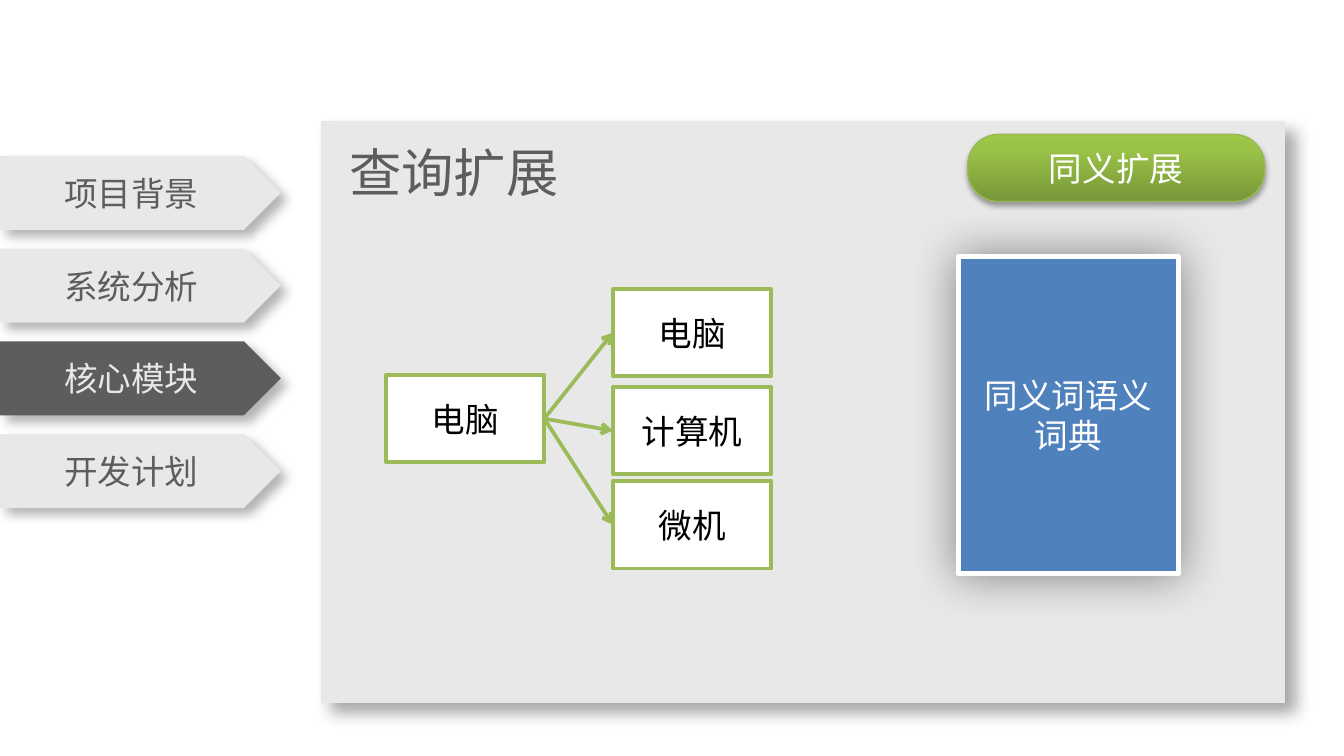
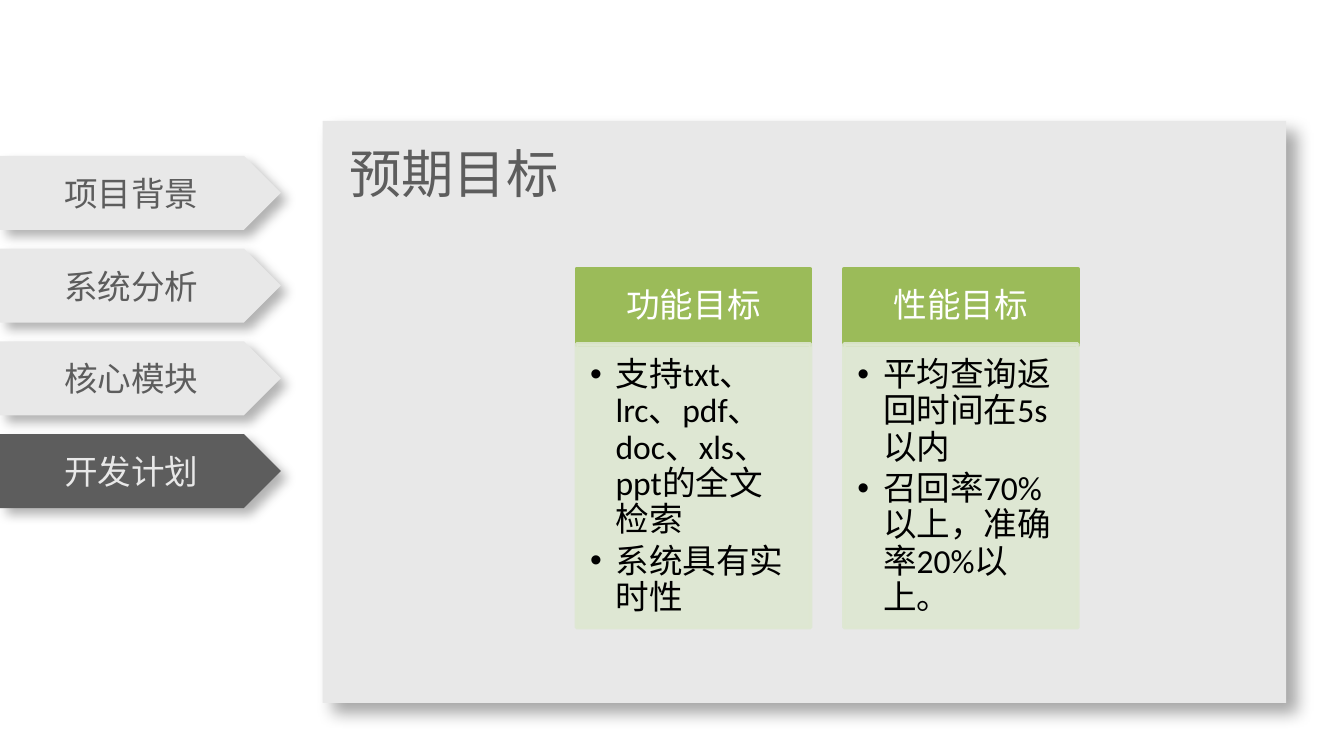
"""Builds two slides on query expansion and project goals, with a side menu."""
from copy import deepcopy

from lxml import etree
from pptx import Presentation
from pptx import util as u
from pptx.dml.color import RGBColor
from pptx.enum import shapes, text
from pptx.oxml import ns

hue = RGBColor.from_string
PALE, DARK, GREEN, WHITE, BLACK, MINT = "E8E8E8", "5D5D5D", "9BBB59", "FFFFFF", "000000", "DEE7D1"
KIND, ALIGN, ANCHOR = shapes.MSO_SHAPE, text.PP_ALIGN, text.MSO_ANCHOR
MENU = ["项目背景", "系统分析", "核心模块", "开发计划"]
BODY = {"size": u.Pt(18), "name": "Calibri"}
TAB = {"size": u.Pt(18), "name": "DejaVu Sans"}
HEAD = {"size": u.Pt(28), "name": "Noto Sans CJK SC"}
MID = {"alignment": ALIGN.CENTER}


def paint(shape, at, fill=None, line=None, width=2, shade=None):
    """Place a shape and set its fill, line and shadow (alpha, blur, distance, angle)."""
    for key, val in zip(("left", "top", "width", "height"), at):
        setattr(shape, key, u.Inches(val))
    shape.shadow.inherit = False
    if fill:
        shape.fill.solid()
        shape.fill.fore_color.rgb = hue(fill)
    if line:
        shape.line.color.rgb = hue(line)
        shape.line.width = u.Pt(width)
    else:
        shape.line.fill.background()
    if shade:
        alpha, blur, dist, turn = shade
        glow = etree.SubElement(
            shape.element.xpath(".//a:effectLst")[0], ns.qn("a:outerShdw"),
            blurRad=str(u.Pt(blur)), dist=str(u.Pt(dist)), dir=str(turn * 60000),
            algn="ctr", rotWithShape="0")
        tint = etree.SubElement(glow, ns.qn("a:srgbClr"), val=BLACK)
        etree.SubElement(tint, ns.qn("a:alpha"), val=str(alpha * 1000))
    return shape


def write(shape, lines, color, font, para, anchor=ANCHOR.MIDDLE, bullet=False):
    """Fill a shape with formatted paragraphs."""
    frame = shape.text_frame
    frame.text = "\n".join(lines)
    frame.word_wrap = True
    frame.auto_size = text.MSO_AUTO_SIZE.NONE
    frame.vertical_anchor = anchor
    for par in frame.paragraphs:
        if bullet:
            props = par._p.get_or_add_pPr()
            props.set("marL", str(u.Inches(0.19)))
            props.set("indent", str(-u.Inches(0.19)))
            props.set("hangingPunct", "0")
            etree.SubElement(props, ns.qn("a:buChar"), char="•")
        for key, val in para.items():
            setattr(par, key, val)
        for run in par.runs:
            for key, val in font.items():
                setattr(run.font, key, val)
            run.font.color.rgb = hue(color)


deck = Presentation()
deck.slide_width = u.Inches(10)
deck.slide_height = u.Inches(10) * 9 // 16

pages = []
for name, layout, left, top, wide, live in [
        ("查询扩展", 5, 2.39, 0.99, 2.9, 2), ("预期目标", 3, 2.4, 1, 4, 3)]:
    page = deck.slides.add_slide(deck.slide_layouts[layout])
    pages.append(page)
    panel = page.shapes.add_shape(KIND.RECTANGLE, 0, 0, 0, 0)
    paint(panel, (left, 0.9, 7.17, 4.33), PALE, shade=(35, 9, 8, 45))
    title = paint(page.shapes.title, (2.5, top, wide, 0.57))
    write(title, [name], DARK, HEAD, {"alignment": ALIGN.LEFT}, ANCHOR.TOP)
    panel.element.addnext(title.element)
    for row, label in enumerate(MENU):
        tab = page.shapes.add_shape(KIND.PENTAGON, 0, 0, 0, 0)
        fill, ink = (DARK, PALE) if row == live else (PALE, DARK)
        paint(tab, (0, 1.16 + 0.69 * row, 2.09, 0.55), fill, shade=(30, 6, 5, 45))
        write(tab, [label], ink, TAB, MID)

query, goals = pages

pill = query.shapes.add_shape(KIND.ROUNDED_RECTANGLE, 0, 0, 0, 0)
pill.adjustments[0] = 0.46
paint(pill, (7.2, 1, 2.21, 0.5), None, "98B955", 0.75, (35, 3.1, 1.8, 90))
pill.fill.gradient()
pill.fill.gradient_angle = 90
first = pill.element.xpath(".//a:gs")[0]
first.addnext(deepcopy(first))
for stop, (place, tone) in zip(
        pill.fill.gradient_stops, [(0, "779737"), (0.8, "9BC348"), (1, "9DC746")]):
    stop.position = place
    stop.color.rgb = hue(tone)
write(pill, ["同义扩展"], WHITE, BODY, MID)

book = query.shapes.add_shape(KIND.RECTANGLE, 0, 0, 0, 0)
paint(book, (7.13, 1.91, 1.64, 2.36), "4F81BD", WHITE, 2.75, (43, 25, 0, 45))
write(book, ["同义词语义词典"], WHITE, BODY, MID)

words = []
for word, left, top in [("电脑", 2.87, 2.79), ("电脑", 4.56, 2.15),
                        ("计算机", 4.56, 2.88), ("微机", 4.56, 3.58)]:
    box = query.shapes.add_shape(KIND.RECTANGLE, 0, 0, 0, 0)
    paint(box, (left, top, 1.18, 0.65), WHITE, GREEN)
    write(box, [word], BLACK, BODY, MID)
    words.append(box)

for word in words[1:]:
    arrow = query.shapes.add_connector(shapes.MSO_CONNECTOR.STRAIGHT, 0, 0, 0, 0)
    arrow.begin_connect(words[0], 3)
    arrow.end_connect(word, 1)
    arrow.line.color.rgb = hue(GREEN)
    arrow.line.width = u.Pt(2)
    etree.SubElement(arrow.line._get_or_add_ln(), ns.qn("a:tailEnd"), type="arrow")
    etree.SubElement(arrow.element.spPr, ns.qn("a:effectLst"))

lists = [
    ("功能目标", ["支持txt、lrc、pdf、doc、xls、ppt的全文检索", "系统具有实时性"]),
    ("性能目标", ["平均查询返回时间在5s以内", "召回率70%以上，准确率20%以上。"]),
]
holders = list(goals.placeholders)[1:]
for col, (name, items) in enumerate(lists):
    left = 4.29 + 1.99 * col
    cap = goals.shapes.add_shape(KIND.RECTANGLE, 0, 0, 0, 0)
    paint(cap, (left, 2, 1.74, 0.57), GREEN, GREEN)
    write(cap, [name], WHITE, BODY, {**MID, "line_spacing": 0.9})
    body = paint(holders[col], (left, 2.56, 1.74, 2.11), MINT, MINT)
    for tint in body.element.xpath("./p:spPr//a:srgbClr"):
        etree.SubElement(tint, ns.qn("a:alpha"), val="90000")
    write(body, items, BLACK, BODY,
          {"level": 1, "line_spacing": 0.9, "space_before": u.Pt(0), "space_after": u.Pt(2.7)},
          ANCHOR.TOP, True)
    for key, val in {"left": 0.1, "top": 0.1, "right": 0.14, "bottom": 0.16}.items():
        setattr(body.text_frame, "margin_" + key, u.Inches(val))
    cap.element.addnext(body.element)

for page in pages:
    for spare in list(page.placeholders):
        if not spare.text_frame.text:
            spare.element.getparent().remove(spare.element)

deck.save("out.pptx")
